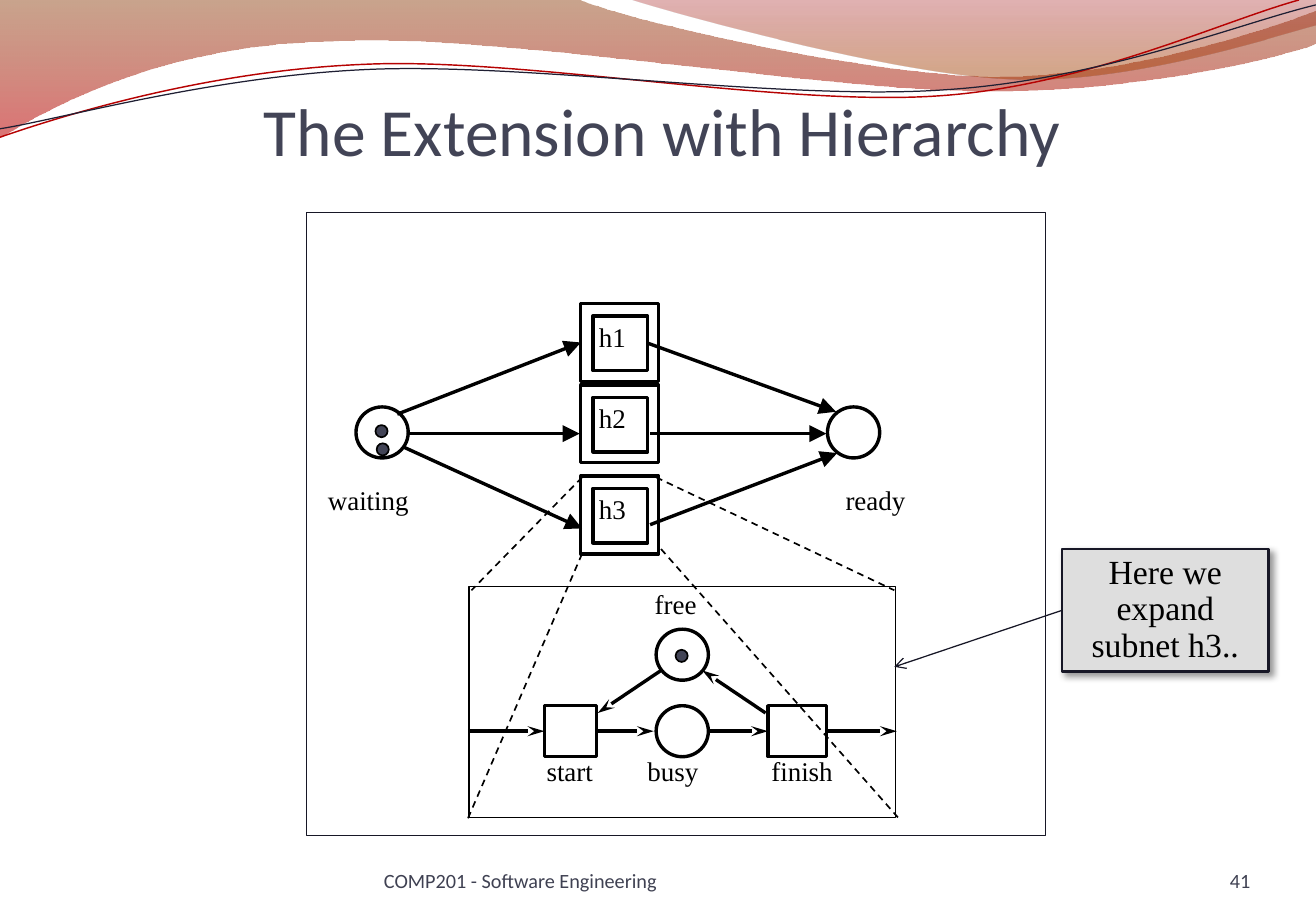
"""Build a slide on Petri net hierarchy: a net, its subnet h3 and a callout."""
from dataclasses import dataclass
from typing import Any, Optional

from lxml.etree import SubElement as Sub
from pptx import Presentation
from pptx.dml.color import RGBColor as Rgb
from pptx.enum.dml import MSO_LINE as Dash
from pptx.enum.shapes import MSO_CONNECTOR as Conn, MSO_SHAPE as Kind
from pptx.enum.text import MSO_ANCHOR as Anchor, PP_ALIGN as Align
from pptx.oxml.ns import qn
from pptx.util import Emu, Inches, Pt

COLS, ROWS, CELL = 108.3, 75, 0.1
LEFT, RIGHT = 1, 3
HEADS = {"triangle": ("lg", "lg"), "stealth": ("med", "lg"), "arrow": ("med", "med")}


@dataclass(frozen=True)
class Theme:
    ink: str = "000000"
    dark: str = "171726"
    slate: str = "424456"
    foot: str = "3F4152"
    grey: str = "DEDEDE"
    red: str = "B60202"
    navy: str = "1F1F33"
    band: tuple = ((0, "883400", 45), (1, "BD0000", 55))
    sweep: tuple = ((0, "9A0000", 30), (0.8, "A23E00", 45))
    sans: str = "Calibri"
    serif: str = "Times New Roman"
    title: int = 40
    lead: int = 20
    label: int = 16
    small: int = 12


T = Theme()


@dataclass(frozen=True)
class Node:
    name: str
    kind: Kind
    x: float
    y: float
    w: float
    h: float
    line: float = 2
    fill: Optional[str] = None
    color: str = T.ink


@dataclass(frozen=True)
class Tag:
    text: str
    x: float
    y: float
    w: float
    h: float = 3.4


@dataclass(frozen=True)
class Link:
    x1: float
    y1: float
    x2: float
    y2: float
    head: Optional[str] = "triangle"
    line: float = 2
    color: str = T.ink
    start: Optional[tuple] = None
    end: Optional[tuple] = None


@dataclass(frozen=True)
class Wave:
    steps: tuple
    line: Optional[str] = None
    width: float = 0.75
    stops: tuple = ()


OVAL, RECT = Kind.OVAL, Kind.RECTANGLE
HUBS = {"h1": 25, "h2": 31.7, "h3": 39.2}


def ring(name: str, x: float, y: float) -> Node:
    return Node(name, OVAL, x, y, 4.3, 4.2)


def token(x: float, y: float) -> Node:
    return Node("token", OVAL, x, y, 1, 1, 1, T.slate)


WAVES = [
    Wave(((0, 0), (47.7, 0), (51.5, 1.7, 71.9, 6.3, 82.2, 6.3),
          (92.4, 6.3, 103.8, 2.6, 108.3, 0.9), (108.3, 3.6),
          (106.5, 4.4, 94.2, 7.6, 80.8, 7.5), (67.4, 7.5, 41.4, 2.8, 27.9, 3.4),
          (14, 3.6, 5, 8.3, 0, 11.3)), stops=T.band),
    Wave(((51.9, 0), (55.2, 1.1, 73.9, 6.2, 83.3, 6.5),
          (92.7, 6.9, 104.2, 3.2, 108.3, 2.1), (108.3, 0)), stops=T.sweep),
    Wave(((0, 11.3), (5.2, 9.5, 17.1, 5.8, 30, 5.3), (42.8, 4.7, 64.2, 8.8, 77.2, 7.9),
          (89.3, 7.1, 100.4, 1.8, 106.9, 0)), T.red, 0.85),
    Wave(((0, 10.6), (5.1, 9.8, 17.7, 6.2, 30.7, 5.7), (43.6, 5.2, 64.7, 8.3, 77.6, 7.4),
          (90.6, 6.6, 102, 1.9, 108.3, 0.4)), T.navy),
]
NODES = [
    ring("waiting", 29.3, 33.5), token(31, 36.5), token(30.9, 35), ring("ready", 68.1, 33.5),
    *(Node(name + part, RECT, 47.8 + gap, y + gap, size, size)
      for name, y in HUBS.items() for part, gap, size in (("", 0, 6.4), (" core", 1, 4.5))),
    Node("start", RECT, 44.8, 58.1, 4.3, 4.2), Node("finish", RECT, 63.2, 58.1, 4.8, 4.2),
    ring("busy", 54, 58.1), ring("free", 54, 51.8), token(55.6, 53.5),
    Node("subnet", RECT, 38.6, 48.3, 35.1, 19, 1),
    Node("frame", RECT, 25.2, 17.5, 60.8, 51.3, 0.25, None, T.dark),
    Node("callout", RECT, 87.4, 45.2, 17, 10.1, 1.5, T.grey, T.dark),
]
TAGS = [
    Tag("waiting", 26, 39.6, 9.9), Tag("ready", 68.6, 39.6, 7.9),
    *(Tag(name, 48.3, y + 1.2, 4.8) for name, y in HUBS.items()),
    Tag("start", 44, 61.9, 6.7, 3.9), Tag("finish", 62.5, 61.9, 8.1, 3.9),
    Tag("busy", 52.3, 61.9, 7.1, 3.9), Tag("free", 52.9, 48.2, 6.3, 3.9),
]
LINKS = [
    Link(33.5, 35.7, 47.7, 35.7), Link(53.5, 35.7, 68, 35.7),
    Link(32.7, 34.1, 47.7, 28.3, end=("h1", LEFT)),
    Link(53.5, 28.2, 68.8, 33.9, start=("h1 core", RIGHT)),
    Link(33.2, 36.8, 47.9, 43.5), Link(53.5, 43.2, 68.9, 37.3),
    Link(38.5, 60.2, 44.6, 60.2, "stealth", end=("start", LEFT)),
    Link(49.2, 60.2, 53.8, 60.2, "stealth", start=("start", RIGHT)),
    Link(58.4, 60.2, 63, 60.2, "stealth", end=("finish", LEFT)),
    Link(68.1, 60.2, 73.8, 60.2, "stealth", start=("finish", RIGHT)),
    Link(54.4, 55.2, 49.2, 58.7, "stealth"), Link(63, 58.7, 57.8, 55.2, "stealth"),
    *(Link(*ends, None, 1) for ends in ((47.9, 45.6, 38.5, 67.4), (47.9, 39.3, 38.8, 48.6),
                                        (54.4, 45.2, 73.9, 67.3), (54, 39.3, 73.6, 48.6))),
    Link(87.4, 50.3, 73.6, 54.9, "arrow", 0.75, T.dark, start=("callout", LEFT)),
]


def grid(*cells: float) -> list[Emu]:
    return [Inches(cell * CELL) for cell in cells]


def write(shape: Any, text: str, *, size: int = T.label, font: str = T.serif,
          color: str = T.ink, align: Align = Align.LEFT, anchor: Anchor = Anchor.TOP,
          space: float = 1.0, pad: tuple = (1, 0.5, 1, 0.5)) -> None:
    frame = shape.text_frame
    frame.word_wrap, frame.vertical_anchor = True, anchor
    (frame.margin_left, frame.margin_top,
     frame.margin_right, frame.margin_bottom) = grid(*pad)
    para = frame.paragraphs[0]
    para.alignment, para.line_spacing = align, space
    run = para.add_run()
    run.text = text
    run.font.size, run.font.name = Pt(size), font
    run.font.color.rgb = Rgb.from_string(color)


def stroke(shape: Any, color: str, width: float) -> None:
    shape.line.color.rgb = Rgb.from_string(color)
    shape.line.width = Pt(width)


def bend(shape: Any, steps: tuple) -> None:
    legs = iter(list(shape.element.iter(qn("a:lnTo"))))
    for step in steps[1:]:
        leg = next(legs)
        if len(step) == 6:
            leg.tag = qn("a:cubicBezTo")
            for extra in (next(legs), next(legs)):
                leg.append(extra[0])
                extra.getparent().remove(extra)


def draw_wave(shapes: Any, wave: Wave) -> None:
    dots = [grid(*step[i:i + 2]) for step in wave.steps for i in range(0, len(step), 2)]
    pen = shapes.build_freeform(*dots[0], scale=1.0)
    pen.add_line_segments(dots[1:], close=bool(wave.stops))
    shape = pen.convert_to_shape()
    bend(shape, wave.steps)
    shape.shadow.inherit = False
    if wave.line:
        shape.fill.background()
        stroke(shape, wave.line, wave.width)
        return
    shape.line.fill.background()
    shape.fill.gradient()
    shape.fill.gradient_angle = 270
    for stop, (place, color, _) in zip(shape.fill.gradient_stops, wave.stops):
        stop.position, stop.color.rgb = place, Rgb.from_string(color)
    for tint, (_, _, alpha) in zip(shape.element.iter(qn("a:srgbClr")), wave.stops):
        Sub(tint, qn("a:alpha"), val=str(alpha * 1000))


def draw_node(shapes: Any, node: Node) -> Any:
    shape = shapes.add_shape(node.kind, *grid(node.x, node.y, node.w, node.h))
    shape.shadow.inherit = False
    shape.fill.background()
    if node.fill:
        shape.fill.solid()
        shape.fill.fore_color.rgb = Rgb.from_string(node.fill)
    stroke(shape, node.color, node.line)
    return shape


def draw_link(shapes: Any, link: Link, nodes: dict) -> None:
    wire = shapes.add_connector(Conn.STRAIGHT, *grid(link.x1, link.y1, link.x2, link.y2))
    for join, tie in ((wire.begin_connect, link.start), (wire.end_connect, link.end)):
        if tie:
            join(nodes[tie[0]], tie[1])
    stroke(wire, link.color, link.line)
    if link.head:
        wide, long = HEADS[link.head]
        Sub(wire.element.find(".//" + qn("a:ln")), qn("a:tailEnd"),
            type=link.head, w=wide, len=long)
    else:
        wire.line.dash_style = Dash.DASH
    Sub(wire.element.spPr, qn("a:effectLst"))


def cast(shape: Any) -> None:
    glow = Sub(shape.element.spPr.find(qn("a:effectLst")), qn("a:outerShdw"),
               blurRad=str(Pt(4)), dist=str(Pt(3)), dir="2700000", algn="tl", rotWithShape="0")
    Sub(Sub(glow, qn("a:srgbClr"), val=T.ink), qn("a:alpha"), val="40000")


def main() -> None:
    deck = Presentation()
    deck.slide_width, deck.slide_height = grid(COLS, ROWS)
    shapes = deck.slides.add_slide(deck.slide_layouts[6]).shapes
    for wave in WAVES:
        draw_wave(shapes, wave)
    write(shapes.add_textbox(*grid(8.7, 3.1, 91.6, 10.9)), "The Extension with Hierarchy",
          size=T.title, font=T.sans, color=T.slate, align=Align.CENTER,
          anchor=Anchor.BOTTOM, pad=(0, 0.5, 0, 0))
    nodes = {node.name: draw_node(shapes, node) for node in NODES}
    for link in LINKS:
        draw_link(shapes, link, nodes)
    for tag in TAGS:
        write(shapes.add_textbox(*grid(tag.x, tag.y, tag.w, tag.h)), tag.text, space=0.9)
    cast(nodes["callout"])
    write(nodes["callout"], "Here we expand subnet h3..", size=T.lead,
          align=Align.CENTER, space=0.9)
    for text, x, w, align in (("COMP201 - Software Engineering", 31.6, 39.7, Align.LEFT),
                              ("41", 93.9, 9, Align.RIGHT)):
        write(shapes.add_textbox(*grid(x, 69.5, w, 4)), text, size=T.small, font=T.sans,
              color=T.foot, align=align, anchor=Anchor.BOTTOM, pad=(0, 0, 0, 0))
    deck.save("out.pptx")


if __name__ == "__main__":
    main()
